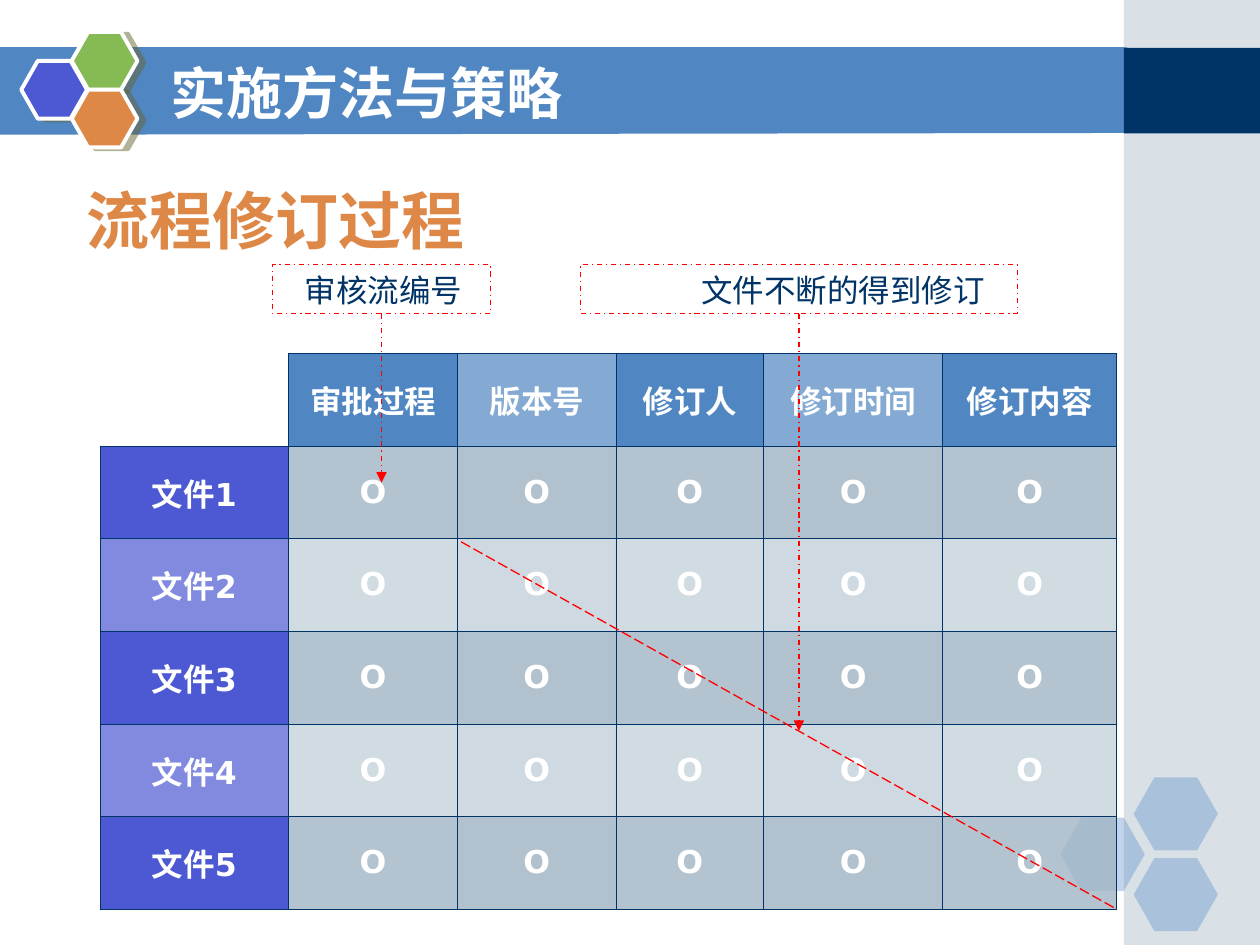
from collections import namedtuple
from dataclasses import dataclass

from pptx import Presentation
from pptx.dml.color import RGBColor
from pptx.enum.dml import MSO_LINE
from pptx.enum.shapes import MSO_CONNECTOR, MSO_SHAPE
from pptx.enum.text import MSO_ANCHOR, MSO_AUTO_SIZE, PP_ALIGN
from pptx.oxml import parse_xml
from pptx.oxml.ns import nsdecls, qn
from pptx.util import Pt

Box = namedtuple("Box", "left top width height")


@dataclass(frozen=True)
class Theme:
    blue: str = "5086C2"
    navy: str = "003366"
    mist: str = "A0B5C4"
    violet: str = "4C59D2"
    green: str = "85BA54"
    orange: str = "DE8848"
    shade: str = "666633"
    white: str = "FFFFFF"
    red: str = "FF0000"
    title_size: int = 32
    heading_size: int = 36
    text_size: int = 18
    title_font: str = "DejaVu Sans"
    text_font: str = "Arial"


THEME = Theme()


def points(box):
    return [Pt(value) for value in box]


def write(frame, text, size=THEME.text_size, font=THEME.text_font, color=THEME.navy,
          bold=False, align=PP_ALIGN.LEFT):
    para = frame.paragraphs[0]
    para.alignment = align
    span = para.add_run()
    span.text = text
    span.font.name = font
    span.font.size = Pt(size)
    span.font.bold = bold
    span.font.color.rgb = RGBColor.from_string(color)


def paint(fill, properties, color, opacity=100):
    fill.solid()
    fill.fore_color.rgb = RGBColor.from_string(color)
    if opacity < 100:
        tone = properties.find(qn("a:solidFill"))[0]
        tone.append(parse_xml(f'<a:alpha {nsdecls("a")} val="{opacity * 1000}"/>'))


def stroke(line, color, width, dash=None):
    line.color.rgb = RGBColor.from_string(color)
    line.width = Pt(width)
    if dash is not None:
        line.dash_style = dash


def add_panel(page, kind, box, color=None, opacity=100):
    panel = page.shapes.add_shape(kind, *points(box))
    panel.shadow.inherit = False
    panel.line.fill.background()
    if color:
        paint(panel.fill, panel.element.spPr, color, opacity)
    else:
        panel.fill.background()
    return panel


def add_text(page, box, text, **style):
    label = page.shapes.add_textbox(*points(box))
    label.text_frame.word_wrap = True
    label.text_frame.auto_size = MSO_AUTO_SIZE.SHAPE_TO_FIT_TEXT
    write(label.text_frame, text, **style)


def add_line(page, start, end, dash, arrow=False):
    line = page.shapes.add_connector(MSO_CONNECTOR.STRAIGHT, *points(start + end))
    stroke(line.line, THEME.red, 0.75, dash)
    properties = line.element.spPr
    if arrow:
        properties.find(qn("a:ln")).append(
            parse_xml(f'<a:tailEnd {nsdecls("a")} type="triangle"/>'))
    properties.append(parse_xml(f'<a:effectLst {nsdecls("a")}/>'))
    return line


def add_backdrop(page, box):
    band_top, band_bottom, sidebar = box.top + 27.4, box.top + 76.3, box.left + 642.2
    outline = page.shapes.build_freeform(box.left - 0.5, band_top, scale=Pt(1))
    outline.add_line_segments([(sidebar + 2, band_top), (sidebar + 2, band_bottom),
                               (box.left - 0.5, band_bottom + 0.7)])
    band = outline.convert_to_shape()
    band.shadow.inherit = False
    band.line.fill.background()
    paint(band.fill, band.element.spPr, THEME.blue)
    width = box.left + box.width - sidebar
    add_panel(page, MSO_SHAPE.RECTANGLE, Box(sidebar, box.top, width, box.height),
              THEME.mist, 40)
    add_panel(page, MSO_SHAPE.RECTANGLE,
              Box(sidebar, band_top, width, band_bottom - band_top), THEME.navy)


def add_hexagons(page, box, cell, colors, opacity=100, raised=False):
    right, bottom = box.width - cell[0], box.height - cell[1]
    places = [(0, bottom / 2), (right, 0), (right, bottom)]
    for (across, down), color in zip(places, colors):
        hexagon = add_panel(page, MSO_SHAPE.HEXAGON,
                            Box(box.left + across, box.top + down, *cell), color, opacity)
        hexagon.adjustments[0] = 0.285
        if raised:
            stroke(hexagon.line, THEME.white, 2.25)
            hexagon.element.spPr.find(qn("a:effectLst")).append(parse_xml(
                f'<a:outerShdw {nsdecls("a")} dist="{Pt(4.1)}" dir="840000" algn="ctr">'
                f'<a:srgbClr val="{THEME.shade}"><a:alpha val="50000"/></a:srgbClr>'
                '</a:outerShdw>'))


def add_title(page, box, text):
    title = page.shapes.title
    title.element.getparent().append(title.element)
    title.left, title.top, title.width, title.height = points(box)
    frame = title.text_frame
    frame.auto_size = MSO_AUTO_SIZE.NONE
    frame.vertical_anchor = MSO_ANCHOR.MIDDLE
    write(frame, text, size=THEME.title_size, font=THEME.title_font,
          color=THEME.white, bold=True)


def add_borders(cell, sides):
    properties = cell._tc.get_or_add_tcPr()
    for place, side in enumerate(sides):
        properties.insert(place, parse_xml(
            f'<a:ln{side} {nsdecls("a")} w="{Pt(0.45)}"><a:solidFill>'
            f'<a:srgbClr val="{THEME.navy}"/></a:solidFill></a:ln{side}>'))


def cell_fill(row, column):
    if row == 0:
        return THEME.blue, 100 if column % 2 else 70
    if column == 0:
        return THEME.violet, 100 if row % 2 else 70
    return THEME.mist, (80 if row % 2 else 48) + (0 if column % 2 else 2)


def add_revision_table(page, box, widths, headers, files):
    rows = [[""] + headers] + [[name] + ["O"] * len(headers) for name in files]
    frame = page.shapes.add_table(len(rows), len(widths), *points(box))
    table = frame.table
    table.first_row = table.horz_banding = False
    frame.element.find(".//" + qn("a:tableStyleId")).text = (
        "{2D5ABB26-0587-4C30-8999-92F81FD0307C}")
    for column, width in zip(table.columns, widths):
        column.width = Pt(width)
    for row, texts in enumerate(rows):
        table.rows[row].height = Pt(box.height / len(rows))
        for column, text in enumerate(texts):
            cell = table.cell(row, column)
            cell.vertical_anchor = MSO_ANCHOR.MIDDLE
            if not text:
                cell.fill.background()
                add_borders(cell, "RB")
                continue
            paint(cell.fill, cell._tc.get_or_add_tcPr(), *cell_fill(row, column))
            add_borders(cell, "LRTB")
            write(cell.text_frame, text, font=THEME.title_font, color=THEME.white,
                  bold=True, align=PP_ALIGN.CENTER)


def add_callout(page, box, text, text_offset, text_width, reach):
    middle, bottom = box.left + box.width / 2, box.top + box.height
    arrow = add_line(page, (middle, bottom), (middle, reach), MSO_LINE.DASH_DOT, arrow=True)
    add_text(page, Box(box.left + text_offset, box.top, text_width, 28.8), text)
    border = add_panel(page, MSO_SHAPE.RECTANGLE, box)
    stroke(border.line, THEME.red, 0.75, MSO_LINE.DASH_DOT)
    arrow.begin_connect(border, 2)


def main():
    deck = Presentation()
    deck.slide_width, deck.slide_height = Pt(720), Pt(540)
    page = deck.slides.add_slide(deck.slide_layouts[5])
    add_backdrop(page, Box(0, 0, 720, 540))
    add_hexagons(page, Box(606, 444.2, 90, 87.9), (48.2, 41.8), [THEME.blue] * 3, opacity=35)
    add_hexagons(page, Box(12.2, 18.3, 66.4, 66), (37.6, 33),
                 [THEME.violet, THEME.green, THEME.orange], raised=True)
    add_title(page, Box(90, 30.2, 528, 44.6), "实施方法与策略")
    grid = Box(57.2, 202, 581, 317.6)
    add_revision_table(page, grid, [107.8, 96.5, 90.5, 84.4, 102.4, 99.4],
                       ["审批过程", "版本号", "修订人", "修订时间", "修订内容"],
                       [f"文件{number}" for number in range(1, 6)])
    add_callout(page, Box(155.7, 151.2, 124.6, 28.1), "审核流编号", 11.5, 106, 275.8)
    add_callout(page, Box(331.7, 151.2, 249.6, 28.1), "文件不断的得到修订", 62, 209.5, 417.6)
    add_line(page, (263.5, 309.6), (grid.left + grid.width, grid.top + grid.height),
             MSO_LINE.LONG_DASH)
    add_text(page, Box(42.5, 100.1, 414, 50.4), "流程修订过程",
             size=THEME.heading_size, color=THEME.orange, bold=True)
    deck.save("out.pptx")


if __name__ == "__main__":
    main()
